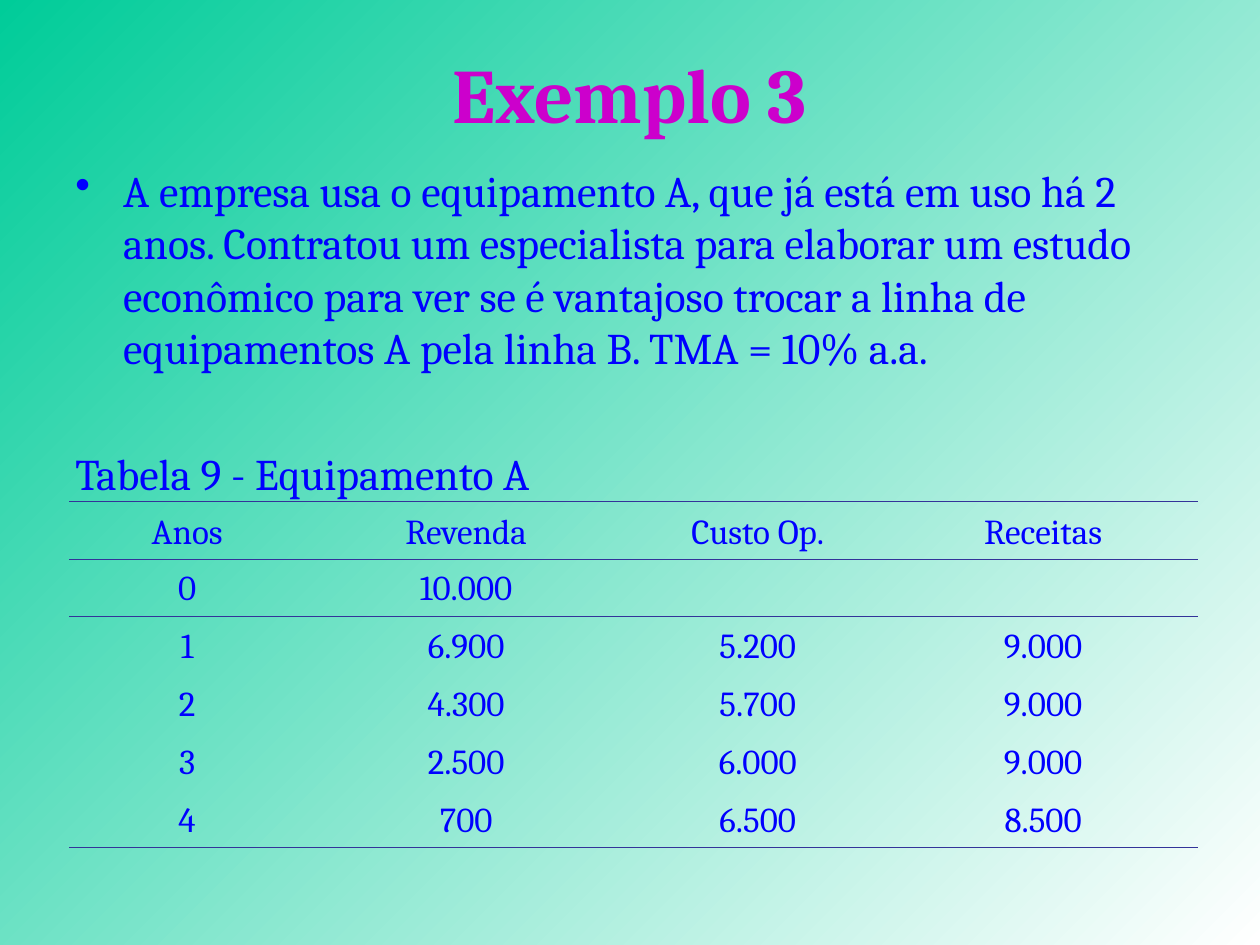
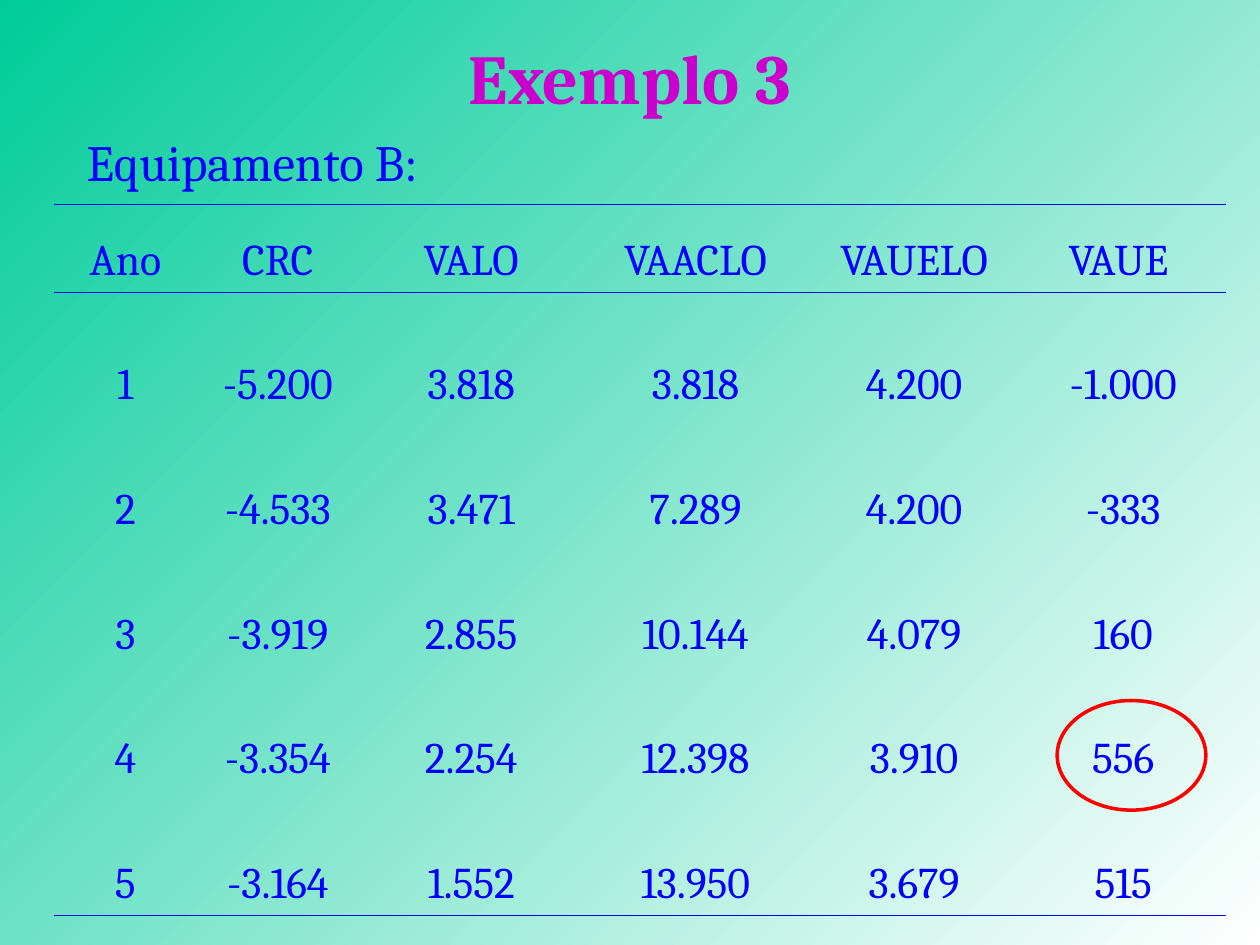
import pptx
import pptx.dml.color
import pptx.enum.shapes
import pptx.enum.text
import pptx.oxml.ns
import pptx.util
from lxml import etree

Inches, Pt = pptx.util.Inches, pptx.util.Pt
ALIGN = pptx.enum.text.PP_ALIGN
ANCHOR = pptx.enum.text.MSO_ANCHOR

FONT = "Cambria"
GREEN, WHITE = "00CC99", "FFFFFF"
BLUE, NAVY, MAGENTA, RED = "0000FF", "333399", "CC00CC", "FF0000"

TITLE = "Exemplo 3"
STATEMENT = (
    "A empresa usa o equipamento A, que já está em uso há 2 anos. "
    "Contratou um especialista para elaborar um estudo econômico para ver se é "
    "vantajoso trocar a linha de equipamentos A pela linha B. TMA = 10% a.a."
)
CAPTION_A = "Tabela 9 - Equipamento A"
CAPTION_B = "Equipamento B:"

EQUIPMENT_A = {
    "place": (0.55, 3.98),
    "widths": [1.87, 2.56, 2.07, 2.46],
    "heights": [0.46, 0.45] + [0.46] * 4,
    "size": 20,
    "rule_color": NAVY,
    "ruled_rows": (0, 1, 2),
    "rows": [
        ("Anos", "Revenda", "Custo Op.", "Receitas"),
        ("0", "10.000", "", ""),
        ("1", "6.900", "5.200", "9.000"),
        ("2", "4.300", "5.700", "9.000"),
        ("3", "2.500", "6.000", "9.000"),
        ("4", "700", "6.500", "8.500"),
    ],
}
EQUIPMENT_B = {
    "place": (0.43, 1.62),
    "widths": [1.13, 1.29, 1.78, 1.78, 1.69, 1.63],
    "heights": [0.7] + [0.99] * 5,
    "size": 25,
    "rule_color": BLUE,
    "ruled_rows": (0, 1),
    "rows": [
        ("Ano", "CRC", "VALO", "VAACLO", "VAUELO", "VAUE "),
        ("1", "-5.200", "3.818", "3.818", "4.200", "-1.000"),
        ("2", "-4.533", "3.471", "7.289", "4.200", "-333"),
        ("3", "-3.919", "2.855", "10.144", "4.079", "160"),
        ("4", "-3.354", "2.254", "12.398", "3.910", "556"),
        ("5", "-3.164", "1.552", "13.950", "3.679", "515"),
    ],
}
BEST_YEAR_RING = (8.39, 5.56, 1.18, 0.87)


def rgb(color):
    return pptx.dml.color.RGBColor.from_string(color)


def add_xml(parent, tag, **attributes):
    return etree.SubElement(parent, pptx.oxml.ns.qn(tag), attributes)


def write(paragraph, text, size=25, color=BLUE, bold=False, align=ALIGN.LEFT,
          before=0, bullet=None):
    paragraph.alignment = align
    paragraph.space_before = Pt(before)
    if bullet:
        properties = paragraph._p.get_or_add_pPr()
        indent = Inches(0.38)
        properties.set("marL", str(indent))
        properties.set("indent", str(-indent))
        add_xml(properties, "a:buChar", char=bullet)
    run = paragraph.add_run()
    run.text = text
    run.font.name, run.font.size, run.font.bold = FONT, Pt(size), bold
    run.font.color.rgb = rgb(color)


def add_frame(slide, place, anchor=ANCHOR.TOP):
    frame = slide.shapes.add_textbox(*map(Inches, place)).text_frame
    frame.word_wrap = True
    frame.vertical_anchor = anchor
    return frame


def add_slide(deck, title_height, title_size):
    """Add a slide with the shared gradient and title style."""
    slide = deck.slides.add_slide(deck.slide_layouts[6])
    fill = slide.background.fill
    fill.gradient()
    fill.gradient_angle = 315
    for stop, color, position in zip(fill.gradient_stops, (GREEN, WHITE), (0, 1)):
        stop.color.rgb = rgb(color)
        stop.position = position
    title = add_frame(slide, (0.5, 0.3, 9, title_height), ANCHOR.MIDDLE)
    write(title.paragraphs[0], TITLE, size=title_size, color=MAGENTA, bold=True,
          align=ALIGN.CENTER)
    return slide


def set_borders(cell, colors):
    """Draw the sides listed in colors and clear the other ones."""
    properties = cell._tc.get_or_add_tcPr()
    for side in "LRTB":
        line = add_xml(properties, f"a:ln{side}", w=str(Pt(0.75)))
        if side in colors:
            add_xml(add_xml(line, "a:solidFill"), "a:srgbClr", val=colors[side])
        else:
            add_xml(line, "a:noFill")


def add_ruled_table(slide, data):
    rows, widths, heights = data["rows"], data["widths"], data["heights"]
    size = (sum(widths), sum(heights))
    table = slide.shapes.add_table(
        len(rows), len(widths), *map(Inches, data["place"] + size)).table
    table.first_row = table.horz_banding = False
    for column, width in zip(table.columns, widths):
        column.width = Inches(width)
    ruled_edges = {*data["ruled_rows"], len(rows)}
    for r, values in enumerate(rows):
        table.rows[r].height = Inches(heights[r])
        edges = {"T": r, "B": r + 1}
        colors = {side: data["rule_color"] for side, edge in edges.items()
                  if edge in ruled_edges}
        for c, value in enumerate(values):
            cell = table.cell(r, c)
            set_borders(cell, colors)
            cell.fill.background()
            cell.vertical_anchor = ANCHOR.BOTTOM
            if value:
                write(cell.text_frame.paragraphs[0], value, size=data["size"],
                      align=ALIGN.CENTER)


def build_equipment_a(deck):
    slide = add_slide(deck, 0.87, 44)
    body = add_frame(slide, (0.5, 1.25, 9, 5.45))
    write(body.paragraphs[0], STATEMENT, bullet="•")
    write(body.add_paragraph(), CAPTION_A, before=42)
    add_ruled_table(slide, EQUIPMENT_A)


def build_equipment_b(deck):
    slide = add_slide(deck, 0.61, 40)
    caption = add_frame(slide, (0.59, 0.99, 8.67, 1.1))
    write(caption.paragraphs[0], CAPTION_B, size=29, align=ALIGN.JUSTIFY)
    add_ruled_table(slide, EQUIPMENT_B)
    ring = slide.shapes.add_shape(
        pptx.enum.shapes.MSO_SHAPE.OVAL, *map(Inches, BEST_YEAR_RING))
    ring.shadow.inherit = False
    ring.fill.background()
    ring.line.color.rgb = rgb(RED)
    ring.line.width = Pt(2)


def main():
    deck = pptx.Presentation()
    deck.slide_width, deck.slide_height = Inches(10), Inches(7.5)
    build_equipment_a(deck)
    build_equipment_b(deck)
    deck.save("out.pptx")


if __name__ == "__main__":
    main()
